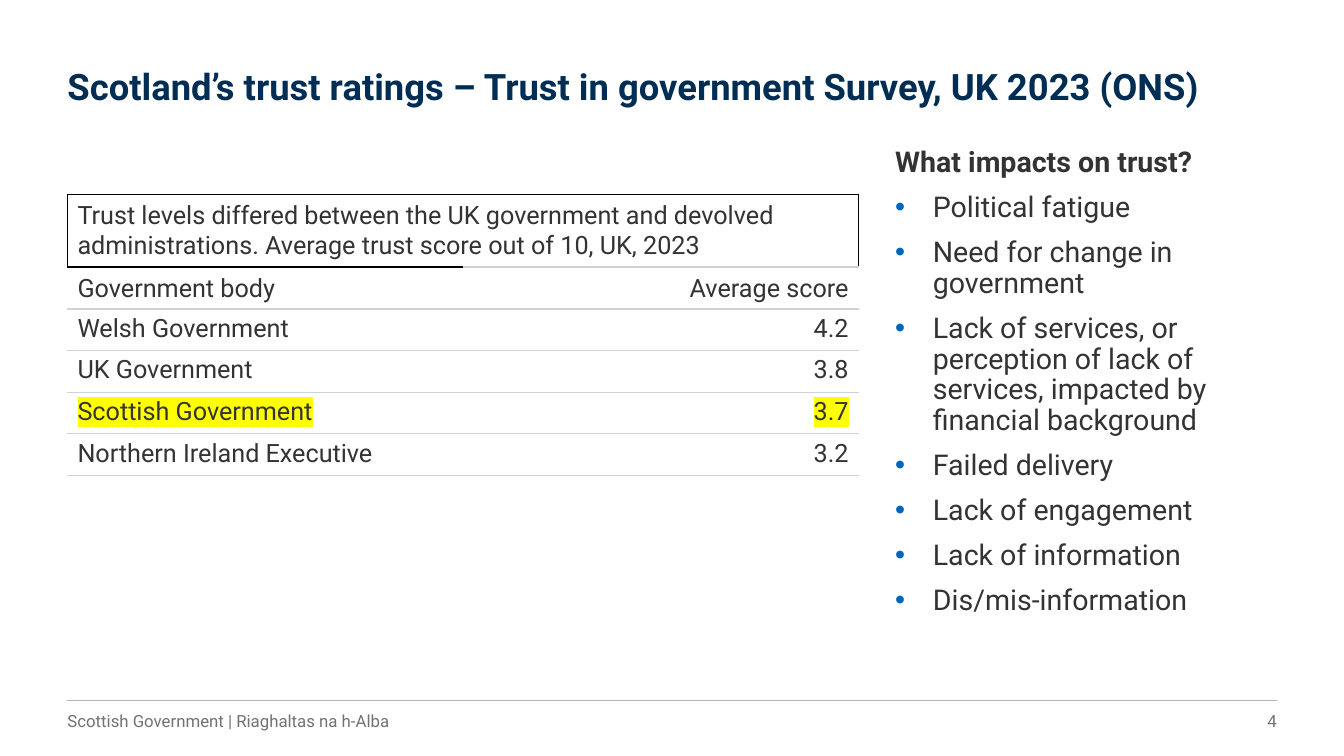
"""Build the slide on trust ratings for government bodies."""
import lxml.etree
import pptx
import pptx.dml.color
import pptx.enum.shapes
import pptx.enum.text
import pptx.oxml.ns
import pptx.util

Cm = pptx.util.Cm
Pt = pptx.util.Pt
RGBColor = pptx.dml.color.RGBColor
Align = pptx.enum.text.PP_ALIGN
Anchor = pptx.enum.text.MSO_ANCHOR
qn = pptx.oxml.ns.qn

TITLE = "Scotland’s trust ratings – Trust in government Survey, UK 2023 (ONS)"
CAPTION = (
    "Trust levels differed between the UK government and devolved "
    "administrations. Average trust score out of 10, UK, 2023"
)
HEADINGS = ("Government body", "Average score")
SCORES = [
    ("Welsh Government", "4.2"),
    ("UK Government", "3.8"),
    ("Scottish Government", "3.7"),
    ("Northern Ireland Executive", "3.2"),
]
HIGHLIGHTED = "Scottish Government"
IMPACT_HEADING = "What impacts on trust?"
IMPACTS = [
    "Political fatigue",
    "Need for change in government",
    "Lack of services, or perception of lack of services, impacted by financial background",
    "Failed delivery",
    "Lack of engagement",
    "Lack of information",
    "Dis/mis-information",
]
FOOTER = "Scottish Government | Riaghaltas na h-Alba"
PAGE_NUMBER = "4"

FONT = "Roboto"
NAVY = RGBColor(0x00, 0x2D, 0x54)
BLUE = RGBColor(0x00, 0x65, 0xBD)
TEXT = RGBColor(0x33, 0x33, 0x33)
MUTED = RGBColor(0x72, 0x72, 0x72)
RULE = RGBColor(0xB3, 0xB3, 0xB3)
GRID = RGBColor(0xD0, 0xD2, 0xD3)
BLACK = RGBColor(0x00, 0x00, 0x00)
WHITE = RGBColor(0xFF, 0xFF, 0xFF)
YELLOW = RGBColor(0xFF, 0xFF, 0x00)

LEFT = Cm(1.7)
WIDTH = Cm(30.48)
RIGHT = LEFT + WIDTH
FOOTER_TOP = Cm(17.65)
FOOTER_HEIGHT = Cm(1.02)
NUMBER_WIDTH = Cm(4.14)
COLUMN_WIDTH = Cm(9.97)
CAPTION_HEIGHT = Cm(1.83)
ROW_HEIGHT = Cm(1.05)
INDENT = Cm(0.95)


def add_colour(parent, tag, colour):
    """Append an element holding a plain colour."""
    holder = lxml.etree.SubElement(parent, qn(tag))
    lxml.etree.SubElement(holder, qn("a:srgbClr"), val=str(colour))
    return holder


def write(para, text, size=18, colour=TEXT, bold=False, align=Align.LEFT,
          line_spacing=None, before=None, bullet=None, highlight=None):
    """Put formatted text in a paragraph."""
    para.alignment = align
    if line_spacing:
        para.line_spacing = line_spacing
    if before:
        para.space_before = Pt(before)
    if bullet:
        properties = para._p.get_or_add_pPr()
        properties.set("marL", str(INDENT))
        properties.set("indent", str(-INDENT))
        add_colour(properties, "a:buClr", bullet)
        lxml.etree.SubElement(properties, qn("a:buFont"), typeface="Arial")
        lxml.etree.SubElement(properties, qn("a:buChar"), char="•")
    span = para.add_run()
    span.text = text
    span.font.name = FONT
    span.font.size = Pt(size)
    span.font.bold = bold
    span.font.color.rgb = colour
    if highlight:
        properties = span._r.get_or_add_rPr()
        marker = add_colour(properties, "a:highlight", highlight)
        properties.find(qn("a:solidFill")).addnext(marker)


def add_box(page, left, top, width, height, anchor=Anchor.TOP):
    """Add an empty wrapped text box without margins."""
    frame = page.shapes.add_textbox(left, top, width, height).text_frame
    frame.word_wrap = True
    frame.vertical_anchor = anchor
    frame.margin_left = frame.margin_right = 0
    frame.margin_top = frame.margin_bottom = 0
    return frame


def set_borders(cell, **sides):
    """Draw the sides given as (colour, points) and clear the others."""
    properties = cell._tc.get_or_add_tcPr()
    for position, side in enumerate("LRTB"):
        line = lxml.etree.Element(qn("a:ln" + side))
        if side in sides:
            colour, points = sides[side]
            line.set("w", str(Pt(points)))
            add_colour(line, "a:solidFill", colour)
        else:
            lxml.etree.SubElement(line, qn("a:noFill"))
        properties.insert(position, line)


def add_scores(page):
    """Add the table of average trust scores."""
    rows = [(CAPTION, ""), HEADINGS] + SCORES
    height = CAPTION_HEIGHT + ROW_HEIGHT * (len(rows) - 1)
    table = page.shapes.add_table(
        len(rows), 2, LEFT, Cm(4.9), COLUMN_WIDTH * 2, height).table
    table.first_row = table.horz_banding = False
    for column in table.columns:
        column.width = COLUMN_WIDTH
    thin, thick, frame = (GRID, 0.5), (GRID, 1.5), (BLACK, 1)
    for index, values in enumerate(rows):
        table.rows[index].height = ROW_HEIGHT if index else CAPTION_HEIGHT
        highlight = YELLOW if values[0] == HIGHLIGHTED else None
        for number, text in enumerate(values):
            cell = table.cell(index, number)
            cell.fill.solid()
            cell.fill.fore_color.rgb = WHITE
            cell.vertical_anchor = {0: Anchor.MIDDLE, 1: Anchor.BOTTOM}.get(index, Anchor.TOP)
            if text:
                write(cell.text_frame.paragraphs[0], text, highlight=highlight,
                      align=Align.RIGHT if number else Align.LEFT)
            if index == 0:
                set_borders(cell, L=frame, R=frame, T=frame, B=thick if number else frame)
            elif index == 1:
                set_borders(cell, T=thick if number else frame, B=thick)
            else:
                set_borders(cell, T=thick if index == 2 else thin, B=thin)
    table.cell(0, 0).merge(table.cell(0, 1))


def main():
    """Assemble and save the deck."""
    deck = pptx.Presentation()
    deck.slide_width, deck.slide_height = Cm(33.87), Cm(19.05)
    page = deck.slides.add_slide(deck.slide_layouts[6])

    rule = page.shapes.add_connector(
        pptx.enum.shapes.MSO_CONNECTOR.STRAIGHT, LEFT, FOOTER_TOP, RIGHT, FOOTER_TOP)
    rule.line.color.rgb = RULE
    rule.line.width = Pt(0.75)
    lxml.etree.SubElement(rule._element.spPr, qn("a:effectLst"))

    title = add_box(page, LEFT, Cm(1.73), WIDTH, Cm(1))
    write(title.paragraphs[0], TITLE, size=26, colour=NAVY, bold=True, line_spacing=0.9)

    impacts = add_box(page, Cm(22.56), Cm(3.73), Cm(9.4), Cm(11.76))
    layout = {"size": 20.4, "line_spacing": 0.9, "before": 10}
    write(impacts.paragraphs[0], IMPACT_HEADING, bold=True, **layout)
    for impact in IMPACTS:
        write(impacts.add_paragraph(), impact, bullet=BLUE, **layout)

    footer = add_box(page, LEFT, FOOTER_TOP, Cm(25.22), FOOTER_HEIGHT, Anchor.MIDDLE)
    write(footer.paragraphs[0], FOOTER, size=12, colour=MUTED)
    number = add_box(page, RIGHT - NUMBER_WIDTH, FOOTER_TOP, NUMBER_WIDTH,
                     FOOTER_HEIGHT, Anchor.MIDDLE)
    write(number.paragraphs[0], PAGE_NUMBER, size=12, colour=MUTED, align=Align.RIGHT)

    add_scores(page)
    deck.save("out.pptx")


if __name__ == "__main__":
    main()
